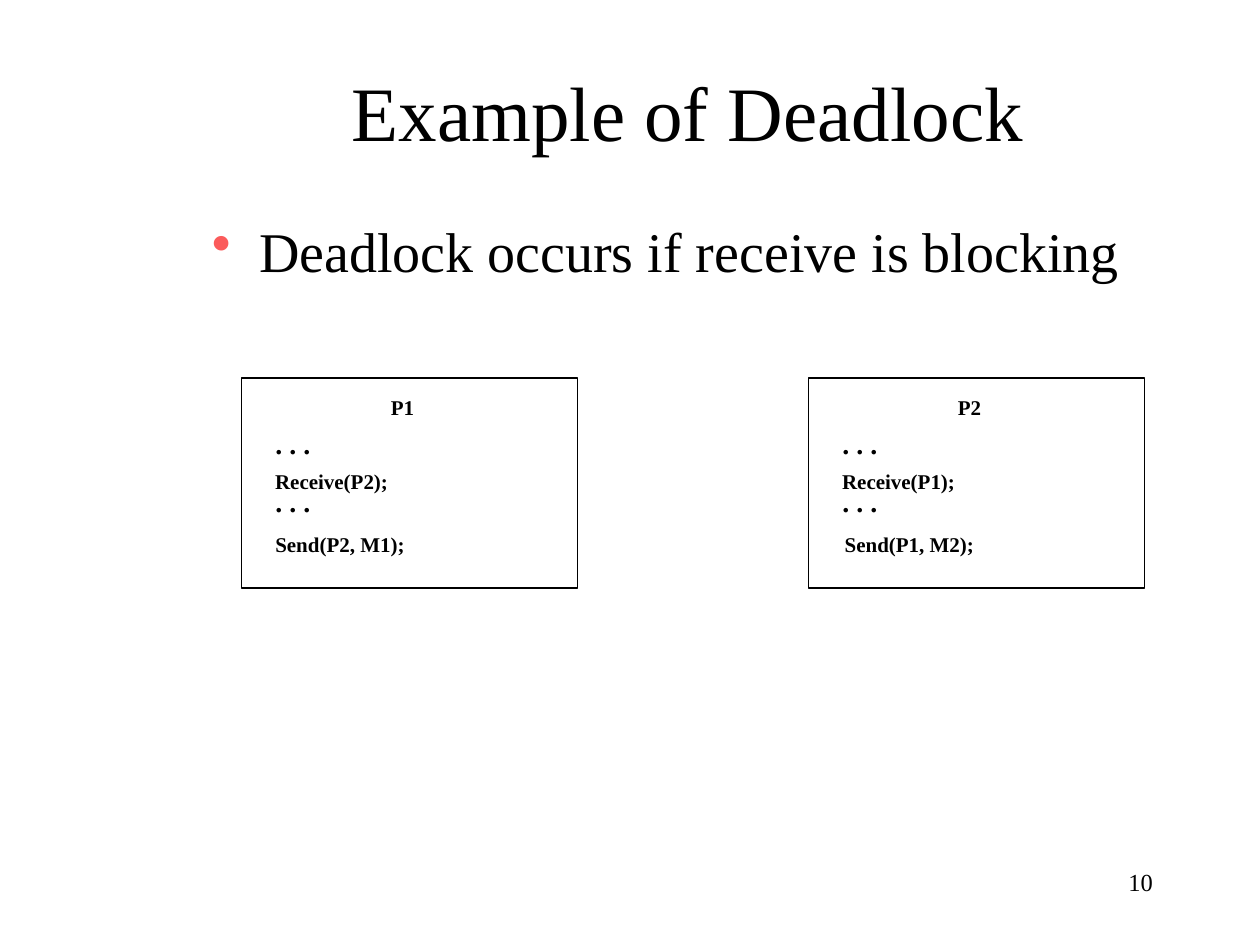
"""Build the slide that shows a deadlock between two processes."""
from lxml.etree import SubElement
from pptx import Presentation
from pptx.dml.color import RGBColor
from pptx.enum.shapes import MSO_SHAPE as Shape
from pptx.enum.text import MSO_ANCHOR as Anchor, MSO_AUTO_SIZE as AutoSize, PP_ALIGN as Align
from pptx.oxml.ns import qn
from pptx.util import Pt

BLACK = RGBColor(0x00, 0x00, 0x00)
WHITE = RGBColor(0xFF, 0xFF, 0xFF)
CORAL = RGBColor(0xFB, 0x5B, 0x5B)
FONT = "Times New Roman"

TITLE = "Example of Deadlock"
POINT = "Deadlock occurs if receive is blocking"
PAGE_NUMBER = "10"
DOTS = ". . ."
PROCESSES = [
    {"name": "P1", "receive": "Receive(P2);", "send": "Send(P2, M1);", "left": 138, "send_shift": 0},
    {"name": "P2", "receive": "Receive(P1);", "send": "Send(P1, M2);", "left": 462, "send_shift": 1.4},
]
PROCESS_TOP, PROCESS_WIDTH, PROCESS_HEIGHT = 216, 192, 120
CODE_INDENT = 12


def add_text(slide, text, left, top, width, height, *, size, bold=False,
             align=Align.CENTER, anchor=Anchor.TOP, wrap=True):
    box = slide.shapes.add_textbox(Pt(left), Pt(top), Pt(width), Pt(height))
    frame = box.text_frame
    frame.word_wrap = wrap
    frame.auto_size = AutoSize.NONE if wrap else AutoSize.SHAPE_TO_FIT_TEXT
    frame.vertical_anchor = anchor
    paragraph = frame.paragraphs[0]
    paragraph.alignment = align
    run = paragraph.add_run()
    run.text = text
    run.font.name = FONT
    run.font.size = Pt(size)
    run.font.bold = bold
    run.font.color.rgb = BLACK
    return paragraph


def add_bullet(paragraph, color, indent):
    properties = paragraph._p.get_or_add_pPr()
    properties.set("marL", str(Pt(indent)))
    properties.set("indent", str(-Pt(indent)))
    bullet_color = SubElement(properties, qn("a:buClr"))
    SubElement(bullet_color, qn("a:srgbClr"), val=str(color))
    SubElement(properties, qn("a:buChar"), char="•")


def add_process(slide, process):
    left = process["left"]
    frame = slide.shapes.add_shape(
        Shape.RECTANGLE, Pt(left), Pt(PROCESS_TOP), Pt(PROCESS_WIDTH), Pt(PROCESS_HEIGHT))
    frame.shadow.inherit = False
    frame.fill.solid()
    frame.fill.fore_color.rgb = WHITE
    frame.line.color.rgb = BLACK
    frame.line.width = Pt(1)

    lines = [
        (process["name"], 78, 6, 28, 21.6, 12),
        (DOTS, CODE_INDENT, 24, 34.6, 26.6, 16),
        (DOTS, CODE_INDENT, 57.6, 34.6, 26.6, 16),
        (process["receive"], CODE_INDENT, 48, 79, 21.6, 12),
        (process["send"], CODE_INDENT + process["send_shift"], 84, 88.6, 21.6, 12),
    ]
    for text, x, y, width, height, size in lines:
        add_text(slide, text, left + x, PROCESS_TOP + y, width, height,
                 size=size, bold=True, wrap=False)


def main():
    deck = Presentation()
    deck.slide_width, deck.slide_height = Pt(720), Pt(540)
    slide = deck.slides.add_slide(deck.slide_layouts[6])

    add_text(slide, TITLE, 114, 18, 558, 90, size=44, anchor=Anchor.MIDDLE)
    point = add_text(slide, POINT, 114, 120, 570, 360, size=32, align=Align.LEFT)
    point.space_before = Pt(8)
    add_bullet(point, CORAL, 27)
    for process in PROCESSES:
        add_process(slide, process)
    add_text(slide, PAGE_NUMBER, 516, 492, 150, 36, size=14, align=Align.RIGHT)

    deck.save("out.pptx")


if __name__ == "__main__":
    main()
